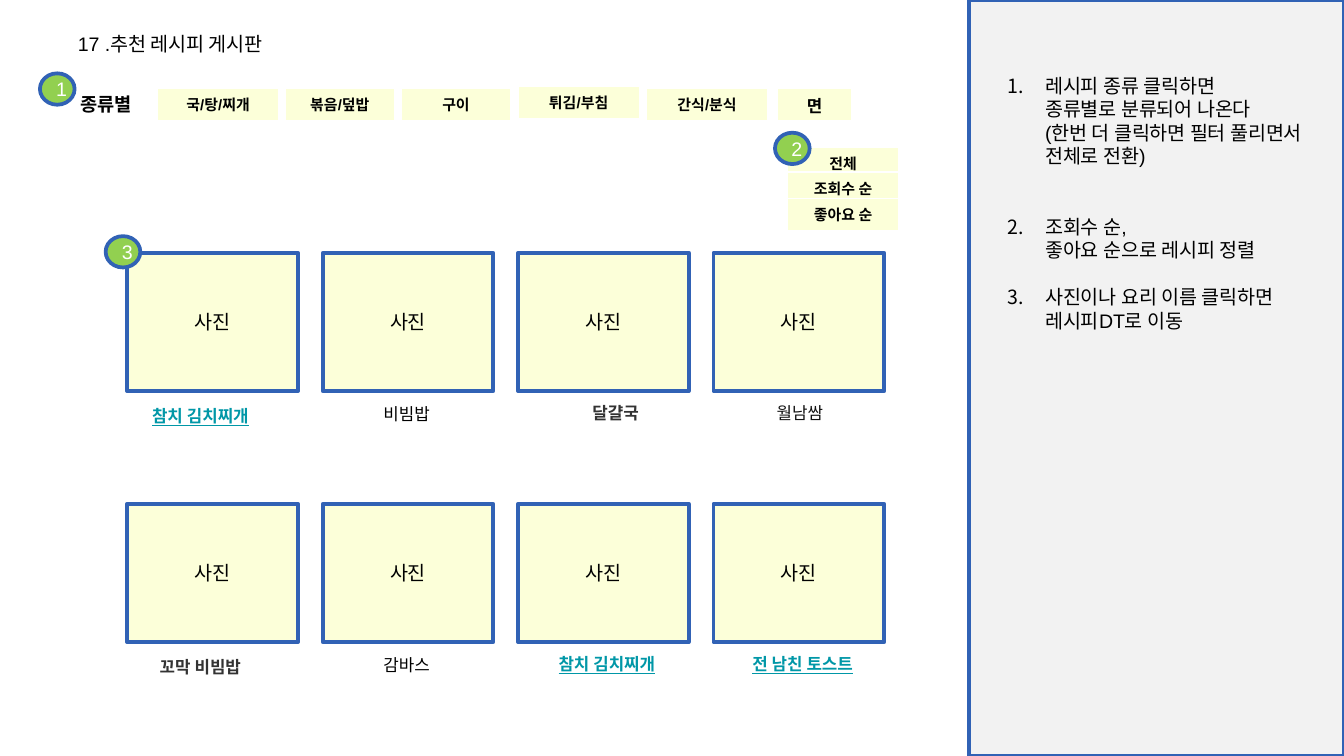
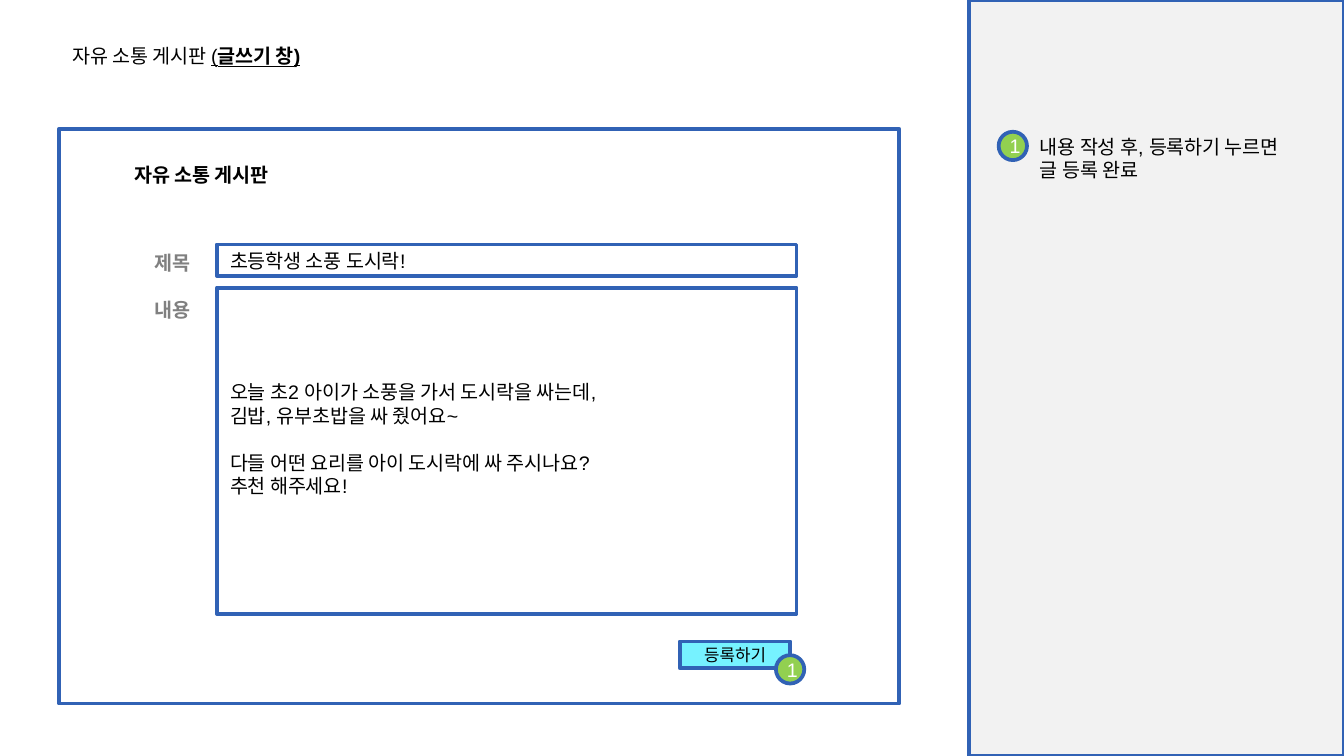
from dataclasses import dataclass

from lxml import etree
from pptx import Presentation
from pptx.dml.color import RGBColor
from pptx.enum import shapes, text
from pptx.oxml.ns import qn
from pptx.util import Pt


@dataclass(frozen=True)
class Theme:
    font: str = "Arial"
    black: str = "000000"
    white: str = "FFFFFF"
    blue: str = "3162B5"
    green: str = "92D050"
    cream: str = "FCFFD9"
    panel: str = "F2F2F2"
    button: str = "76F2FF"
    link: str = "0097A7"
    dark: str = "333333"
    ink: str = "111111"
    grey: str = "808080"
    body: float = 10.5
    label: float = 10
    caption: float = 9
    tag: float = 8


T = Theme()
RECT = shapes.MSO_SHAPE.RECTANGLE
DOT = shapes.MSO_SHAPE.FLOWCHART_CONNECTOR
LEFT, CENTER = text.PP_ALIGN.LEFT, text.PP_ALIGN.CENTER
TOP, MIDDLE = text.MSO_ANCHOR.TOP, text.MSO_ANCHOR.MIDDLE


def write(tf, lines, size=T.body, color=T.black, bold=False, underline=False,
          align=LEFT, anchor=TOP):
    """Fill a text frame or table cell frame, one paragraph per line."""
    tf.word_wrap = True
    tf.vertical_anchor = anchor
    for i, line in enumerate(lines):
        p = tf.paragraphs[0] if i == 0 else tf.add_paragraph()
        p.text = line
        p.alignment = align
        p.font.name = T.font
        p.font.size = Pt(size)
        p.font.bold = bold
        p.font.underline = underline
        p.font.color.rgb = RGBColor.from_string(color)


def add_box(s, kind, at, fill=None, lines=(), **style):
    """Add a blue-outlined shape, or a plain text box when kind is None."""
    at = [Pt(v) for v in at]
    if kind is None:
        sp = s.shapes.add_textbox(*at)
    else:
        sp = s.shapes.add_shape(kind, *at)
        sp.shadow.inherit = False
        if fill:
            sp.fill.solid()
            sp.fill.fore_color.rgb = RGBColor.from_string(fill)
        else:
            sp.fill.background()
        sp.line.color.rgb = RGBColor.from_string(T.blue)
        sp.line.width = Pt(2)
        style = {"anchor": MIDDLE, **style}
    write(sp.text_frame, lines, **style)
    return sp


prs = Presentation()
prs.slide_width, prs.slide_height = Pt(720), Pt(405)

# Shared by both slides: title and description panel
slides = []
for title, at in [
    ("17 .추천 레시피 게시판", (34.5, 13.6, 150.5, 20)),
    ("자유 소통 게시판 ", (31.7, 20, 243.4, 20)),
]:
    s = prs.slides.add_slide(prs.slide_layouts[5])
    sp = s.shapes.title
    sp.left, sp.top, sp.width, sp.height = [Pt(v) for v in at]
    sp.text_frame.auto_size = text.MSO_AUTO_SIZE.NONE
    write(sp.text_frame, [title])
    add_box(s, RECT, (519.1, 0, 200.9, 405), T.panel)
    slides.append(s)
recipes, post = slides

# Recipe board: category filters and sort options
for label, x, y, w, size in [
    ("국/탕/찌개", 84.4, 47.5, 65, T.tag),
    ("볶음/덮밥", 152.6, 47.5, 59, T.tag),
    ("구이", 214.8, 47.5, 59, T.tag),
    ("튀김/부침", 277.5, 46.3, 65, T.tag),
    ("간식/분식", 346.3, 47.5, 65, T.tag),
    ("면", 416.2, 47.5, 40.3, T.caption),
    ("전체", 421.9, 78.8, 59.6, T.tag),
    ("조회수 순", 421.9, 92, 59.6, T.tag),
    ("좋아요 순", 421.9, 106.3, 59.6, T.tag),
]:
    table = recipes.shapes.add_table(1, 1, Pt(x), Pt(y), Pt(w), Pt(18)).table
    table.first_row = table.horz_banding = False
    cell = table.cell(0, 0)
    cell.margin_left = cell.margin_right = Pt(5.2)
    cell.margin_top = cell.margin_bottom = Pt(2.6)
    write(cell.text_frame, [label], size, bold=True, align=CENTER)
    tc_pr = cell._tc.get_or_add_tcPr()
    for side, width in [("L", 1), ("R", 1), ("T", 1), ("B", 3)]:
        ln = etree.SubElement(tc_pr, qn(f"a:ln{side}"), w=str(Pt(width)))
        solid = etree.SubElement(ln, qn("a:solidFill"))
        etree.SubElement(solid, qn("a:srgbClr"), val=T.white)
    cell.fill.solid()
    cell.fill.fore_color.rgb = RGBColor.from_string(T.cream)

add_box(recipes, None, (36, 46, 59.8, 20), lines=["종류별"],
        size=T.label, bold=True)

# Recipe board: photo grid with captions
for row in range(2):
    for col in range(4):
        add_box(recipes, RECT, (68.2 + 104.7 * col, 135.4 + 134.5 * row, 91.4, 74.2),
                T.cream, ["사진"], align=CENTER)

link = dict(color=T.link, bold=True, underline=True)
strong = dict(color=T.dark, bold=True)
for name, x, y, w, style in [
    ("참치 김치찌개", 70.6, 213.8, 73.4, link),
    ("비빔밥", 185, 212.6, 65.5, {}),
    ("달걀국", 290.9, 212.4, 77.8, strong),
    ("월남쌈", 389.5, 212.4, 77.8, dict(color=T.ink)),
    ("꼬막 비빔밥", 70.6, 348.5, 73.4, strong),
    ("감바스", 185, 347.2, 65.5, {}),
    ("참치 김치찌개", 281.5, 346.6, 87.1, link),
    ("전 남친 토스트", 396, 346.6, 77.8, dict(link, align=LEFT)),
]:
    add_box(recipes, None, (x, y, w, 18), lines=[name],
            **{"size": T.caption, "align": CENTER, **style})

# Recipe board: numbered description
notes = add_box(recipes, None, (532.6, 36, 195, 160), lines=[
    "레시피 종류 클릭하면\n종류별로 분류되어 나온다\n"
    "(한번 더 클릭하면 필터 풀리면서 \n전체로 전환)",
    "조회수 순, \n좋아요 순으로 레시피 정렬",
    "사진이나 요리 이름 클릭하면\n레시피DT로 이동",
])
for p, gap in zip(notes.text_frame.paragraphs, (0, 25.2, 12.6)):
    p.space_before = Pt(gap)
    p_pr = p._p.get_or_add_pPr()
    p_pr.set("marL", str(Pt(20.25)))
    p_pr.set("indent", str(Pt(-20.25)))
    number = etree.Element(qn("a:buAutoNum"), type="arabicPeriod")
    p_pr.find(qn("a:defRPr")).addprevious(number)

# Post form: heading tail, frame and fields
p = post.shapes.title.text_frame.paragraphs[0]
for part, bold in [("(", False), ("글쓰기 창)", True)]:
    r = p.add_run()
    r.text = part
    r.font.underline = True
    r.font.bold = bold

add_box(post, RECT, (31.7, 69, 450, 308))
add_box(post, RECT, (116.2, 131, 310.5, 16.8), lines=["초등학생 소풍 도시락!"])
content = add_box(post, RECT, (116.2, 154.1, 310.5, 174.8), lines=[
    "오늘 초2 아이가 소풍을 가서 도시락을 싸는데,",
    "김밥, 유부초밥을 싸 줬어요~",
    "다들 어떤 요리를 아이 도시락에 싸 주시나요?",
    "추천 해주세요!",
])
content.text_frame.margin_bottom = Pt(16.2)
content.text_frame.paragraphs[2].space_before = Pt(12.6)

add_box(post, None, (64.8, 84, 221.8, 20), lines=["자유 소통 게시판"], bold=True)
for label, y in [("제목", 131), ("내용", 156.2)]:
    add_box(post, None, (69.1, y, 46.8, 20), lines=[label],
            color=T.grey, bold=True, align=CENTER)
add_box(post, RECT, (364.2, 343.7, 59.2, 14.4), T.button, ["등록하기"],
        size=T.caption, align=CENTER)
add_box(post, None, (550, 68.6, 163, 45),
        lines=["내용 작성 후, 등록하기 누르면", "글 등록 완료"])

# Numbered markers
for s, number, x, y, w, h in [
    (recipes, "1", 21.4, 39.3, 18.6, 16.8),
    (recipes, "2", 415.2, 71.1, 18.6, 16.8),
    (recipes, "3", 56.6, 126.5, 18.6, 16.8),
    (post, "1", 535, 70.6, 15.2, 15.2),
    (post, "1", 415.7, 351, 15.2, 15.2),
]:
    add_box(s, DOT, (x, y, w, h), T.green, [number], color=T.white, align=CENTER)

prs.save("out.pptx")
